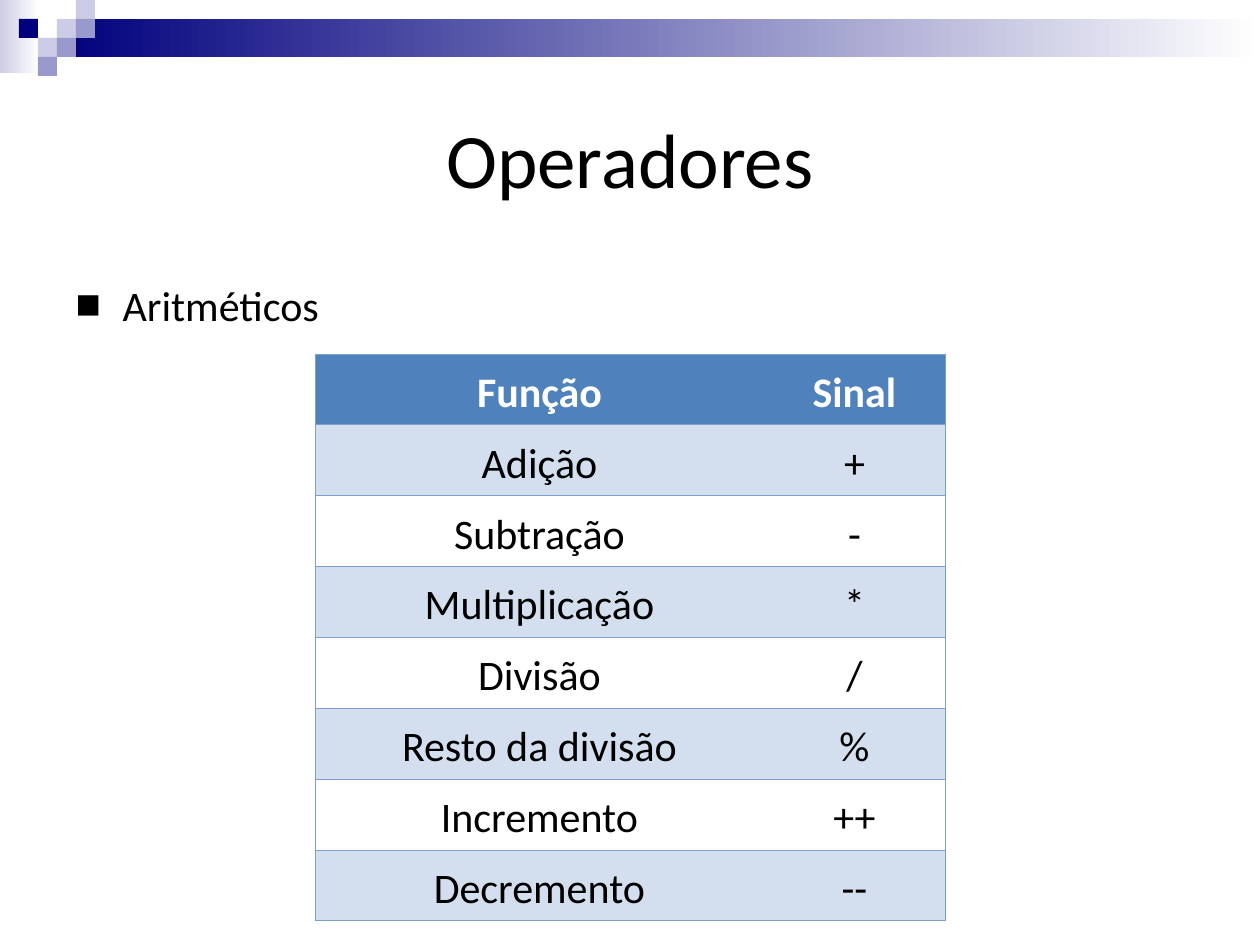
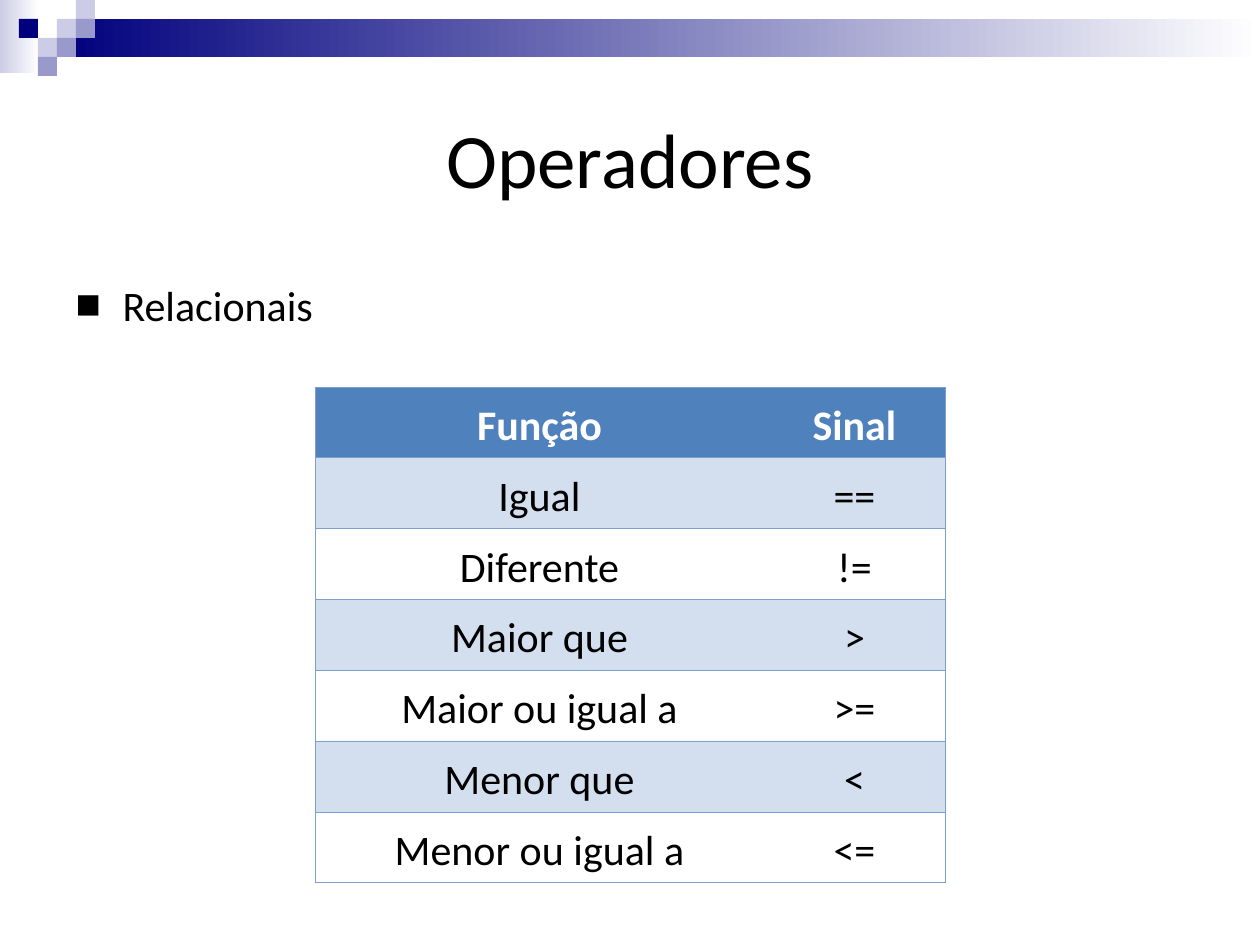
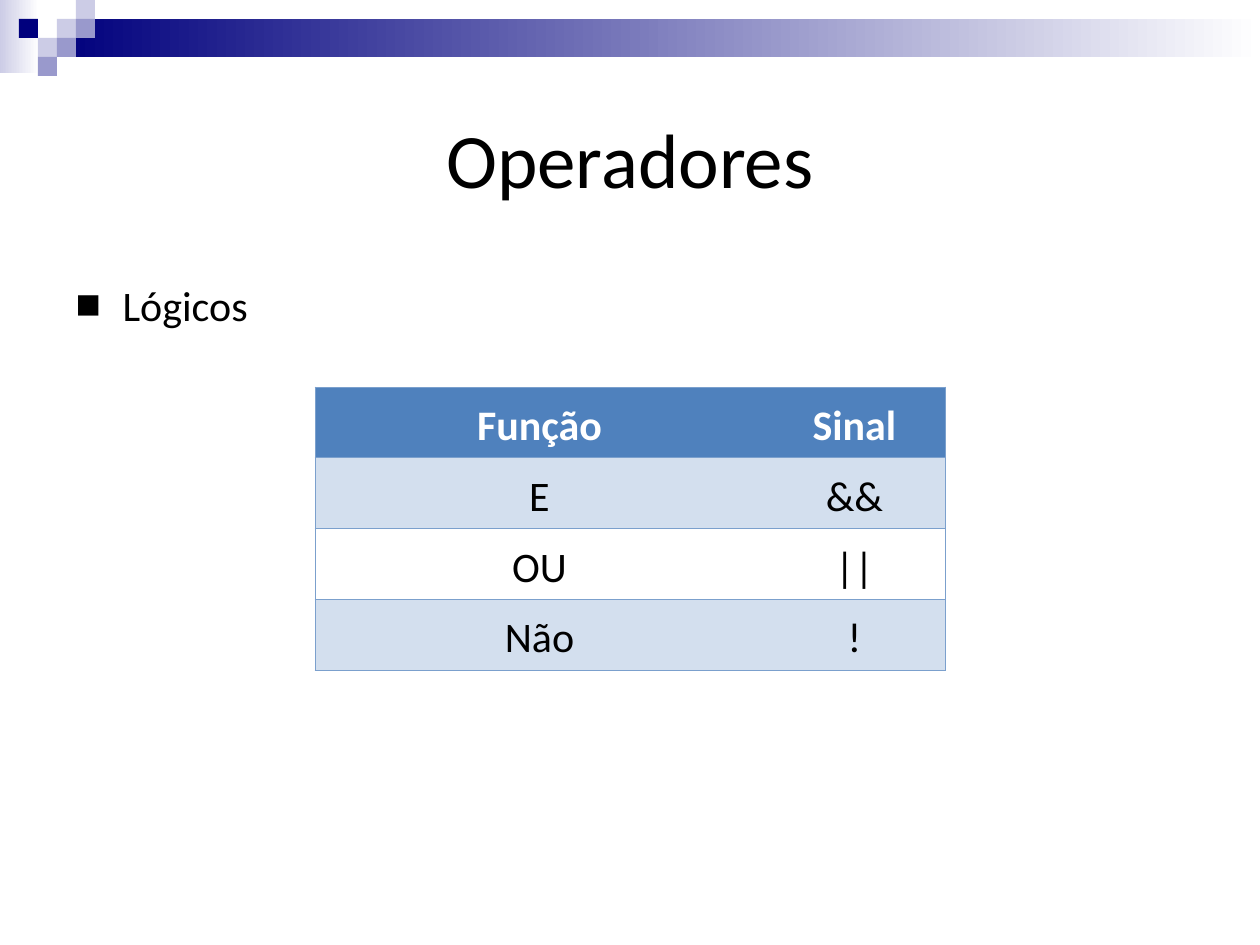
import dataclasses

import lxml.etree
import pptx
import pptx.dml.color
import pptx.enum.shapes
import pptx.enum.text
import pptx.oxml.ns
import pptx.util

TITLE = "Operadores"
HEADER = ("Função", "Sinal")
SLIDES = [
    {
        "topic": "Aritméticos",
        "top": 354,
        "rows": [
            ("Adição", "+"),
            ("Subtração", "-"),
            ("Multiplicação", "*"),
            ("Divisão", "/"),
            ("Resto da divisão", "%"),
            ("Incremento", "++"),
            ("Decremento", "--"),
        ],
    },
    {
        "topic": "Relacionais",
        "top": 387,
        "rows": [
            ("Igual", "=="),
            ("Diferente", "!="),
            ("Maior que", ">"),
            ("Maior ou igual a", ">="),
            ("Menor que", "<"),
            ("Menor ou igual a", "<="),
        ],
    },
    {
        "topic": "Lógicos",
        "top": 387,
        "rows": [("E", "&&"), ("OU", "||"), ("Não", "!")],
    },
]


@dataclasses.dataclass(frozen=True)
class Theme:
    font: str = "Calibri"
    title_size: int = 44
    body_size: int = 24
    text: str = "000000"
    white: str = "FFFFFF"
    navy: str = "00007D"
    lilac: str = "9999CC"
    pale: str = "CCCCE6"
    header: str = "4F81BD"
    stripe: str = "D3DFEE"
    border: str = "7BA0CD"
    border_width: float = 0.45


THEME = Theme()
SLIDE = (1260, 945)
TITLE_BOX = (63, 63, 1134, 189)
TOPIC_BOX = (63, 273, 1134, 72)
TOPIC_INDENT = 47
TABLE_LEFT = 315
COLUMNS = (449, 181)
ROW_HEIGHT = 62
GRADIENTS = [
    ((0, 0, 39, 73), THEME.pale),
    ((57, 19, 1203, 38), THEME.navy),
]
SQUARE = 19
SQUARES = [
    (3, 1, THEME.pale),
    (4, 0, THEME.pale),
    (4, 1, THEME.lilac),
    (2, 2, THEME.pale),
    (1, 1, THEME.navy),
    (3, 2, THEME.lilac),
    (2, 3, THEME.lilac),
]


def px(n):
    return pptx.util.Emu(round(n * 914400 / 126))


def rgb(color):
    return pptx.dml.color.RGBColor.from_string(color)


def child(parent, tag, **attrs):
    return lxml.etree.SubElement(parent, pptx.oxml.ns.qn(tag), attrs)


def place(sp, box):
    sp.left, sp.top, sp.width, sp.height = map(px, box)


def style(p, size, color, bold=False):
    p.font.name = THEME.font
    p.font.size = pptx.util.Pt(size)
    p.font.color.rgb = rgb(color)
    p.font.bold = bold


def add_rect(shapes, box):
    sp = shapes.add_shape(pptx.enum.shapes.MSO_SHAPE.RECTANGLE, *map(px, box))
    sp.shadow.inherit = False
    sp.line.fill.background()
    return sp


def add_band(prs, slide):
    group = slide.shapes.add_group_shape()
    for box, color in GRADIENTS:
        fill = add_rect(group.shapes, box).fill
        fill.gradient()
        fill.gradient_angle = 0
        for stop, shade in zip(fill.gradient_stops, (color, THEME.white)):
            stop.color.rgb = rgb(shade)
    for col, row, color in SQUARES:
        box = (col * SQUARE, row * SQUARE, SQUARE, SQUARE)
        fill = add_rect(group.shapes, box).fill
        fill.solid()
        fill.fore_color.rgb = rgb(color)
    for number, props in enumerate(group.element.xpath(".//p:cNvPr"), 20):
        props.set("id", str(number))
    prs.slide_master.shapes.element.insert(2, group.element)


def fill_placeholder(sp, box, text, size):
    place(sp, box)
    tf = sp.text_frame
    tf.text = text
    tf.word_wrap = True
    tf.auto_size = pptx.enum.text.MSO_AUTO_SIZE.NONE
    p = tf.paragraphs[0]
    style(p, size, THEME.text)
    return p


def add_title(slide):
    sp = slide.shapes.title
    p = fill_placeholder(sp, TITLE_BOX, TITLE, THEME.title_size)
    p.alignment = pptx.enum.text.PP_ALIGN.CENTER
    sp.text_frame.vertical_anchor = pptx.enum.text.MSO_ANCHOR.MIDDLE


def add_topic(slide, topic):
    sp = slide.placeholders[1]
    p = fill_placeholder(sp, TOPIC_BOX, topic, THEME.body_size)
    p.space_before = pptx.util.Pt(6)
    ppr = p._p.get_or_add_pPr()
    ppr.set("marL", str(px(TOPIC_INDENT)))
    ppr.set("indent", str(-px(TOPIC_INDENT)))
    defaults = ppr.find(pptx.oxml.ns.qn("a:defRPr"))
    color = child(ppr, "a:buClr")
    child(color, "a:srgbClr", val=THEME.text)
    bullet = child(ppr, "a:buChar", char="■")
    defaults.addprevious(color)
    defaults.addprevious(bullet)


def set_borders(cell, hidden):
    tcpr = cell._tc.get_or_add_tcPr()
    width = str(pptx.util.Pt(THEME.border_width))
    for side in ("a:lnL", "a:lnR", "a:lnT", "a:lnB"):
        line = child(tcpr, side, w=width)
        if side == hidden:
            child(line, "a:noFill")
        else:
            child(child(line, "a:solidFill"), "a:srgbClr", val=THEME.border)


def fill_cell(cell, text, row, col):
    set_borders(cell, ("a:lnR", "a:lnL")[col])
    color = THEME.header if row == 0 else THEME.stripe
    if row == 0 or row % 2:
        cell.fill.solid()
        cell.fill.fore_color.rgb = rgb(color)
    else:
        cell.fill.background()
    cell.margin_left = cell.margin_right = px(10)
    cell.margin_top = cell.margin_bottom = px(6)
    cell.text = text
    p = cell.text_frame.paragraphs[0]
    p.alignment = pptx.enum.text.PP_ALIGN.CENTER
    p.line_spacing = 1.15
    style(p, THEME.body_size, THEME.text if row else THEME.white, row == 0)


def add_operators(slide, top, operators):
    rows = [HEADER, *operators]
    box = (TABLE_LEFT, top, sum(COLUMNS), ROW_HEIGHT * len(rows))
    frame = slide.shapes.add_table(len(rows), len(COLUMNS), *map(px, box))
    table = frame.table
    table.horz_banding = False
    for column, width in zip(table.columns, COLUMNS):
        column.width = px(width)
    for r, texts in enumerate(rows):
        table.rows[r].height = px(ROW_HEIGHT)
        for c, text in enumerate(texts):
            fill_cell(table.cell(r, c), text, r, c)


def main():
    prs = pptx.Presentation()
    prs.slide_width, prs.slide_height = map(px, SLIDE)
    for number, content in enumerate(SLIDES):
        slide = prs.slides.add_slide(prs.slide_layouts[1])
        if number == 0:
            add_band(prs, slide)
        add_title(slide)
        add_topic(slide, content["topic"])
        add_operators(slide, content["top"], content["rows"])
    prs.save("out.pptx")


if __name__ == "__main__":
    main()
